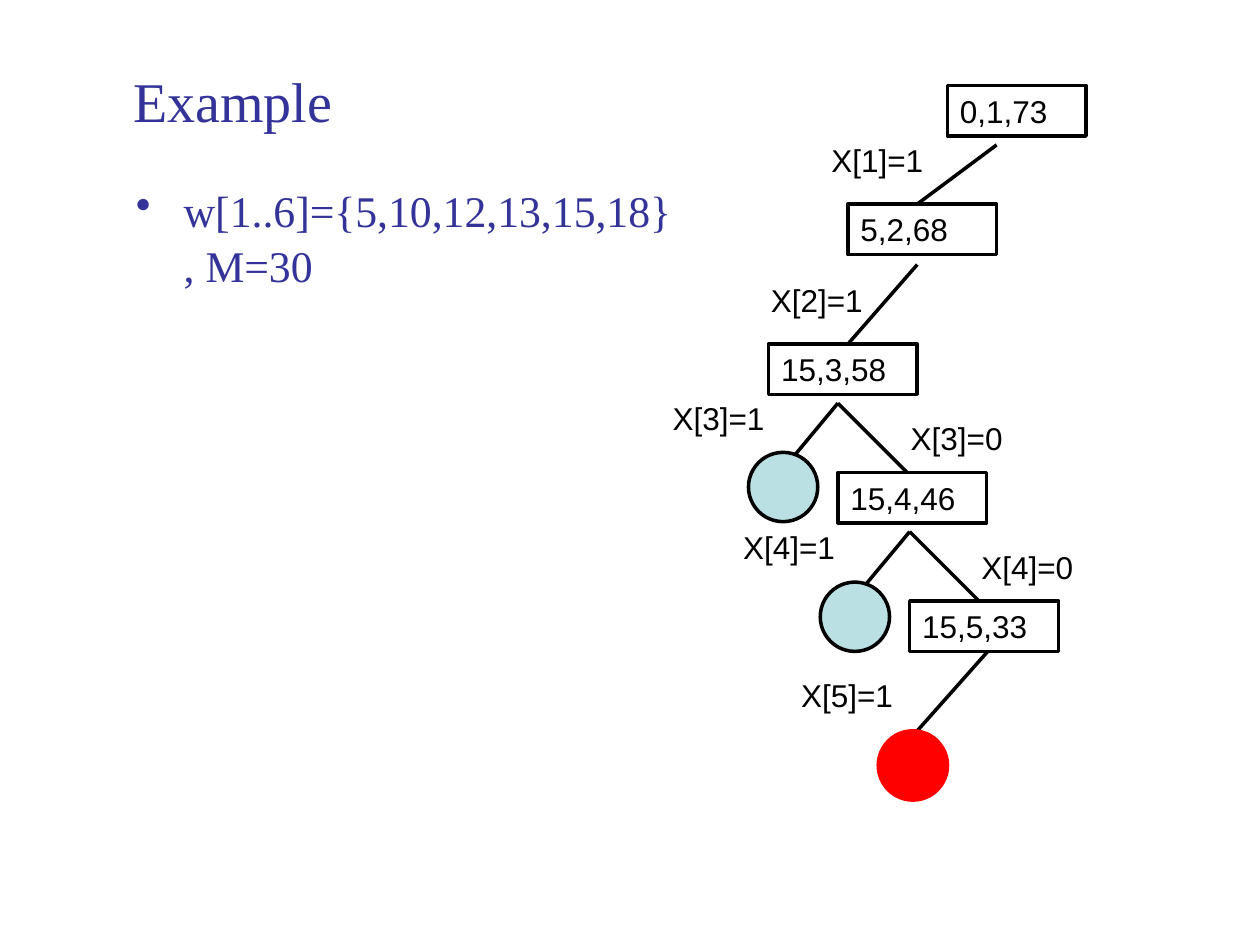
from lxml import etree
from pptx import Presentation, util as u
from pptx.dml.color import RGBColor
from pptx.enum import shapes, text
from pptx.oxml.ns import qn

BLACK = RGBColor(0x00, 0x00, 0x00)
INDIGO = RGBColor(0x33, 0x33, 0x99)
PALE_BLUE = RGBColor(0xBB, 0xE0, 0xE3)
RED = RGBColor(0xFF, 0x00, 0x00)

NODE_WIDTH, NODE_HEIGHT = 1.18, 0.4
CIRCLE_SIZE = 0.55

deck = Presentation()
deck.slide_width, deck.slide_height = u.Inches(10), u.Inches(7.5)
page = deck.slides.add_slide(deck.slide_layouts[6])


def write(box, words, font="Arial", size=18, color=BLACK, wrap=True,
          anchor=text.MSO_ANCHOR.TOP):
    frame = box.text_frame
    frame.word_wrap = wrap
    frame.vertical_anchor = anchor
    para = frame.paragraphs[0]
    para.alignment = text.PP_ALIGN.LEFT
    span = para.add_run()
    span.text = words
    span.font.name, span.font.size = font, u.Pt(size)
    span.font.color.rgb = color
    return para


def add_outline(kind, left, top, width, height, fill=None, line=BLACK):
    shape = page.shapes.add_shape(kind, *map(u.Inches, (left, top, width, height)))
    shape.shadow.inherit = False
    if fill is None:
        shape.fill.background()
    else:
        shape.fill.solid()
        shape.fill.fore_color.rgb = fill
    shape.line.color.rgb = line
    shape.line.width = u.Pt(2)
    return shape


# Title
title = page.shapes.add_textbox(*map(u.Inches, (0.96, 0.29, 8.61, 1.01)))
write(title, "Example", font="Times New Roman", size=32, color=INDIGO,
      anchor=text.MSO_ANCHOR.MIDDLE)

# Bulleted problem statement
body = page.shapes.add_textbox(*map(u.Inches, (0.98, 1.39, 4.49, 1.26)))
para = write(body, "w[1..6]={5,10,12,13,15,18}, M=30",
             font="Times New Roman", size=25, color=INDIGO)
para.space_before = u.Pt(6.2)
para.line_spacing = 1.05
props = para._p.get_or_add_pPr()
props.set("marL", str(u.Inches(0.38)))
props.set("indent", str(-u.Inches(0.38)))
bullet_color = etree.SubElement(props, qn("a:buClr"))
etree.SubElement(bullet_color, qn("a:srgbClr"), val=str(INDIGO))
etree.SubElement(props, qn("a:buChar"), char="•")

# Branches: from, to
branches = [
    (7.91, 1.15, 7.28, 1.62),
    (7.28, 2.10, 6.73, 2.73),
    (6.65, 3.20, 6.26, 3.67),
    (6.65, 3.20, 7.20, 3.75),
    (7.22, 4.22, 6.82, 4.70),
    (7.22, 4.22, 7.77, 4.77),
    (7.84, 5.17, 7.28, 5.80),
]
for ends in branches:
    branch = page.shapes.add_connector(shapes.MSO_CONNECTOR.STRAIGHT,
                                       *map(u.Inches, ends))
    branch.line.color.rgb = BLACK
    branch.line.width = u.Pt(2)
    etree.SubElement(branch._element.spPr, qn("a:effectLst"))

# Choice made on each branch
choices = [
    ("X[1]=1", 6.50, 1.07),
    ("X[2]=1", 6.02, 2.18),
    ("X[3]=1", 5.24, 3.12),
    ("X[3]=0", 7.13, 3.28),
    ("X[4]=1", 5.80, 4.14),
    ("X[4]=0", 7.69, 4.30),
    ("X[5]=1", 6.26, 5.32),
]
for words, left, top in choices:
    label = page.shapes.add_textbox(*map(u.Inches, (left, top, 0.93, 0.4)))
    write(label, words, wrap=False)

# State nodes: sum so far, next index, remaining total
nodes = [
    ("0,1,73", 7.52, 0.68, 1.1),
    ("5,2,68", 6.73, 1.62, NODE_WIDTH),
    ("15,3,58", 6.10, 2.73, NODE_WIDTH),
    ("15,4,46", 6.65, 3.75, NODE_WIDTH),
    ("15,5,33", 7.22, 4.77, NODE_WIDTH),
]
for words, left, top, width in nodes:
    node = add_outline(shapes.MSO_SHAPE.RECTANGLE, left, top, width, NODE_HEIGHT)
    write(node, words)

# Leaves: pruned ones in blue, the solution in red
leaves = [
    (5.94, 3.59, PALE_BLUE, BLACK),
    (6.51, 4.62, PALE_BLUE, BLACK),
    (6.97, 5.80, RED, RED),
]
for left, top, fill, line in leaves:
    add_outline(shapes.MSO_SHAPE.OVAL, left, top, CIRCLE_SIZE, CIRCLE_SIZE,
                fill=fill, line=line)

deck.save("out.pptx")
